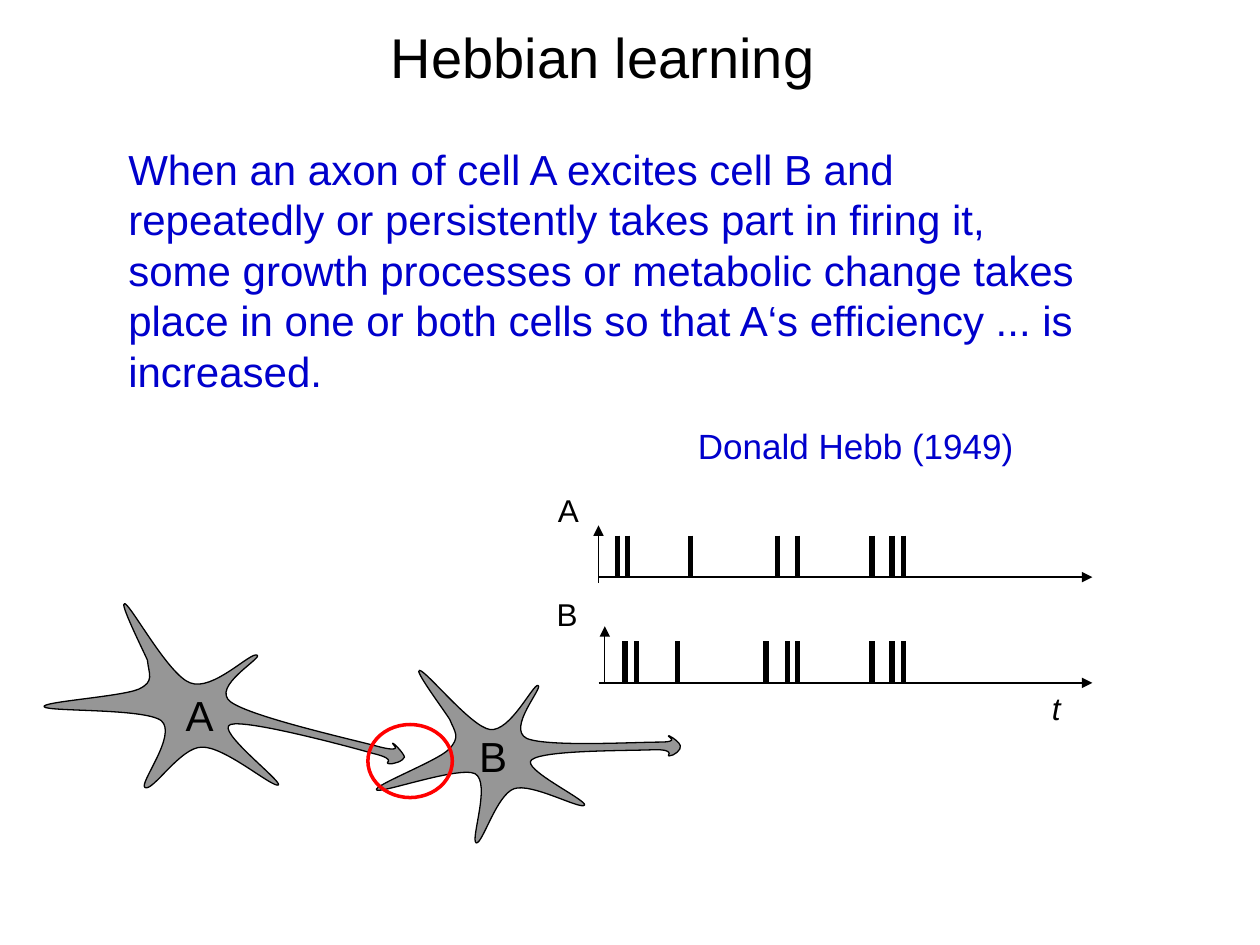
import math

import pptx
import pptx.dml.color
import pptx.enum.shapes
import pptx.enum.text
import pptx.oxml
import pptx.oxml.ns
import pptx.util

BLACK, BLUE, GRAY, RED = "000000", "0000CC", "969696", "FF0000"
CENTER = pptx.enum.text.PP_ALIGN.CENTER
LEFT = pptx.enum.text.PP_ALIGN.LEFT

TITLE = "Hebbian learning"
QUOTE = (
    "When an axon of cell A excites cell B and repeatedly or persistently takes part "
    "in firing it, some growth processes or metabolic change takes place in one or "
    "both cells so that A‘s efficiency ... is increased."
)
AUTHOR = "Donald Hebb (1949)"

LABELS = [
    ("A", (1.17, 5.42, 0.83, 0.5), 24, CENTER, False),
    ("B", (3.33, 5.75, 1.17, 0.5), 24, CENTER, False),
    ("A", (4.33, 3.85, 1.4, 0.4), 18, LEFT, False),
    ("B", (4.32, 4.67, 0.93, 0.4), 18, LEFT, False),
    ("t", (8.25, 5.42, 1, 0.4), 18, LEFT, True),
]

SPIKE_TRAINS = [
    {"baseline": 4.58, "axis_x": 4.75, "axis_top": 4.17,
     "spikes": [4.9, 4.98, 5.48, 6.17, 6.33, 6.92, 7.08, 7.17]},
    {"baseline": 5.42, "axis_x": 4.8, "axis_top": 4.97,
     "spikes": [4.96, 5.05, 5.38, 6.08, 6.25, 6.33, 6.92, 7.08, 7.17]},
]
TIME_START, TIME_END = 4.75, 8.67
SPIKE_HEIGHT = 0.33
AXIS_HEIGHT = 0.46

NEURONS = [
    {"start": (3.57, 5.71), "center": (4.18, 6.01), "rotation": 0, "curves": [
        (3.61, 5.81, 3.66, 5.85, 3.56, 5.95), (3.47, 6.04, 2.95, 6.24, 2.99, 6.27),
        (3.02, 6.3, 3.64, 6.08, 3.77, 6.14), (3.9, 6.21, 3.73, 6.67, 3.78, 6.69),
        (3.83, 6.7, 3.94, 6.31, 4.08, 6.26), (4.22, 6.21, 4.61, 6.43, 4.64, 6.39),
        (4.66, 6.35, 4.13, 6.1, 4.22, 6.03), (4.32, 5.95, 5.01, 5.96, 5.2, 5.95),
        (5.38, 5.95, 5.28, 6.01, 5.31, 6), (5.35, 6, 5.41, 5.95, 5.4, 5.92),
        (5.4, 5.9, 5.34, 5.85, 5.31, 5.84), (5.28, 5.84, 5.42, 5.89, 5.23, 5.89),
        (5.04, 5.89, 4.34, 5.93, 4.18, 5.86), (4.02, 5.78, 4.32, 5.45, 4.27, 5.44),
        (4.23, 5.43, 4.05, 5.81, 3.89, 5.79), (3.74, 5.77, 3.39, 5.33, 3.33, 5.32),
        (3.28, 5.31, 3.52, 5.63, 3.57, 5.71)]},
    {"start": (1.17, 5.24), "center": (1.79, 5.72), "rotation": 15, "curves": [
        (1.18, 5.35, 1.23, 5.41, 1.1, 5.47), (0.96, 5.53, 0.32, 5.57, 0.35, 5.61),
        (0.38, 5.65, 1.15, 5.62, 1.28, 5.72), (1.41, 5.83, 1.1, 6.22, 1.15, 6.25),
        (1.21, 6.29, 1.43, 5.93, 1.6, 5.93), (1.78, 5.92, 2.17, 6.26, 2.21, 6.23),
        (2.24, 6.2, 1.7, 5.79, 1.83, 5.75), (1.96, 5.71, 2.75, 5.92, 2.96, 5.98),
        (3.17, 6.03, 3.04, 6.06, 3.08, 6.06), (3.12, 6.07, 3.2, 6.04, 3.21, 6.01),
        (3.21, 5.99, 3.15, 5.92, 3.12, 5.9), (3.09, 5.89, 3.23, 5.98, 3.02, 5.93),
        (2.8, 5.87, 1.99, 5.69, 1.83, 5.57), (1.67, 5.45, 2.09, 5.22, 2.04, 5.2),
        (1.99, 5.17, 1.69, 5.49, 1.51, 5.42), (1.34, 5.36, 1.05, 4.82, 0.99, 4.79),
        (0.94, 4.77, 1.13, 5.15, 1.17, 5.24)]},
]
SYNAPSE = (2.92, 5.75, 0.67, 0.58)


def length(inches):
    return pptx.util.Cm(inches * 2.54)


def color(value):
    return pptx.dml.color.RGBColor.from_string(value)


def set_line(shape, value, width):
    shape.line.color.rgb = color(value)
    shape.line.width = pptx.util.Pt(width)


def style_paragraph(paragraph, text, size, value, alignment=LEFT, italic=False):
    paragraph.text = text
    paragraph.alignment = alignment
    paragraph.font.name = "Arial"
    paragraph.font.size = pptx.util.Pt(size)
    paragraph.font.italic = italic
    paragraph.font.color.rgb = color(value)


def add_text(slide, box, text, size, value, alignment=LEFT, italic=False):
    frame = slide.shapes.add_textbox(*map(length, box)).text_frame
    frame.word_wrap = True
    style_paragraph(frame.paragraphs[0], text, size, value, alignment, italic)
    return frame


def add_line(slide, start, end, width, arrow=None):
    connector = slide.shapes.add_connector(
        pptx.enum.shapes.MSO_CONNECTOR.STRAIGHT, *map(length, start + end))
    set_line(connector, BLACK, width)
    if arrow:
        end_mark = pptx.oxml.parse_xml(
            f'<a:{arrow} {pptx.oxml.ns.nsdecls("a")} type="triangle"/>')
        connector.line._get_or_add_ln().append(end_mark)
    connector._element.spPr.append(
        pptx.oxml.parse_xml(f'<a:effectLst {pptx.oxml.ns.nsdecls("a")}/>'))


def turn(point, center, degrees):
    angle = math.radians(degrees)
    x, y = point[0] - center[0], point[1] - center[1]
    return (center[0] + x * math.cos(angle) - y * math.sin(angle),
            center[1] + x * math.sin(angle) + y * math.cos(angle))


def bend_segments(shape):
    segments = list(shape._element.iter(pptx.oxml.ns.qn("a:lnTo")))
    for first in range(0, len(segments), 3):
        curve = pptx.oxml.parse_xml(f'<a:cubicBezTo {pptx.oxml.ns.nsdecls("a")}/>')
        segments[first].addprevious(curve)
        for segment in segments[first:first + 3]:
            curve.append(segment[0])
            segment.getparent().remove(segment)


def add_neuron(slide, neuron):
    controls = [neuron["start"]] + [
        curve[i:i + 2] for curve in neuron["curves"] for i in (0, 2, 4)]
    points = [
        tuple(map(length, turn(point, neuron["center"], -neuron["rotation"])))
        for point in controls]
    builder = slide.shapes.build_freeform(*points[0])
    builder.add_line_segments(points[1:], close=True)
    shape = builder.convert_to_shape()
    bend_segments(shape)
    shape.rotation = neuron["rotation"]
    shape.shadow.inherit = False
    shape.fill.solid()
    shape.fill.fore_color.rgb = color(GRAY)
    set_line(shape, BLACK, 0.75)


def add_spike_train(slide, train):
    baseline, axis_x, top = train["baseline"], train["axis_x"], train["axis_top"]
    add_line(slide, (axis_x, top), (axis_x, top + AXIS_HEIGHT), 0.75, "headEnd")
    add_line(slide, (TIME_START, baseline), (TIME_END, baseline), 0.75, "tailEnd")
    for x in train["spikes"]:
        add_line(slide, (x, baseline - SPIKE_HEIGHT), (x, baseline), 3)


def main():
    presentation = pptx.Presentation()
    presentation.slide_width, presentation.slide_height = length(10), length(7.5)
    slide = presentation.slides.add_slide(presentation.slide_layouts[6])

    title = add_text(slide, (0.25, 0, 9.07, 1.42), TITLE, 32, BLACK, CENTER)
    title.vertical_anchor = pptx.enum.text.MSO_ANCHOR.MIDDLE
    title.margin_bottom = length(0.5)
    title.paragraphs[0].line_spacing = 0.85

    for neuron in NEURONS:
        add_neuron(slide, neuron)
    synapse = slide.shapes.add_shape(
        pptx.enum.shapes.MSO_SHAPE.OVAL, *map(length, SYNAPSE))
    synapse.shadow.inherit = False
    synapse.fill.background()
    set_line(synapse, RED, 2)

    for text, box, size, alignment, italic in LABELS:
        add_text(slide, box, text, size, BLACK, alignment, italic)
    for train in SPIKE_TRAINS:
        add_spike_train(slide, train)

    quote = add_text(slide, (0.92, 1.09, 7.75, 2.66), QUOTE, 24, BLUE)
    author = quote.add_paragraph()
    style_paragraph(author, AUTHOR, 20, BLUE)
    author.line_spacing = 0.85
    author.space_before = pptx.util.Pt(20)
    author._p.get_or_add_pPr().set("marL", str(length(4.52)))

    presentation.save("out.pptx")


if __name__ == "__main__":
    main()
